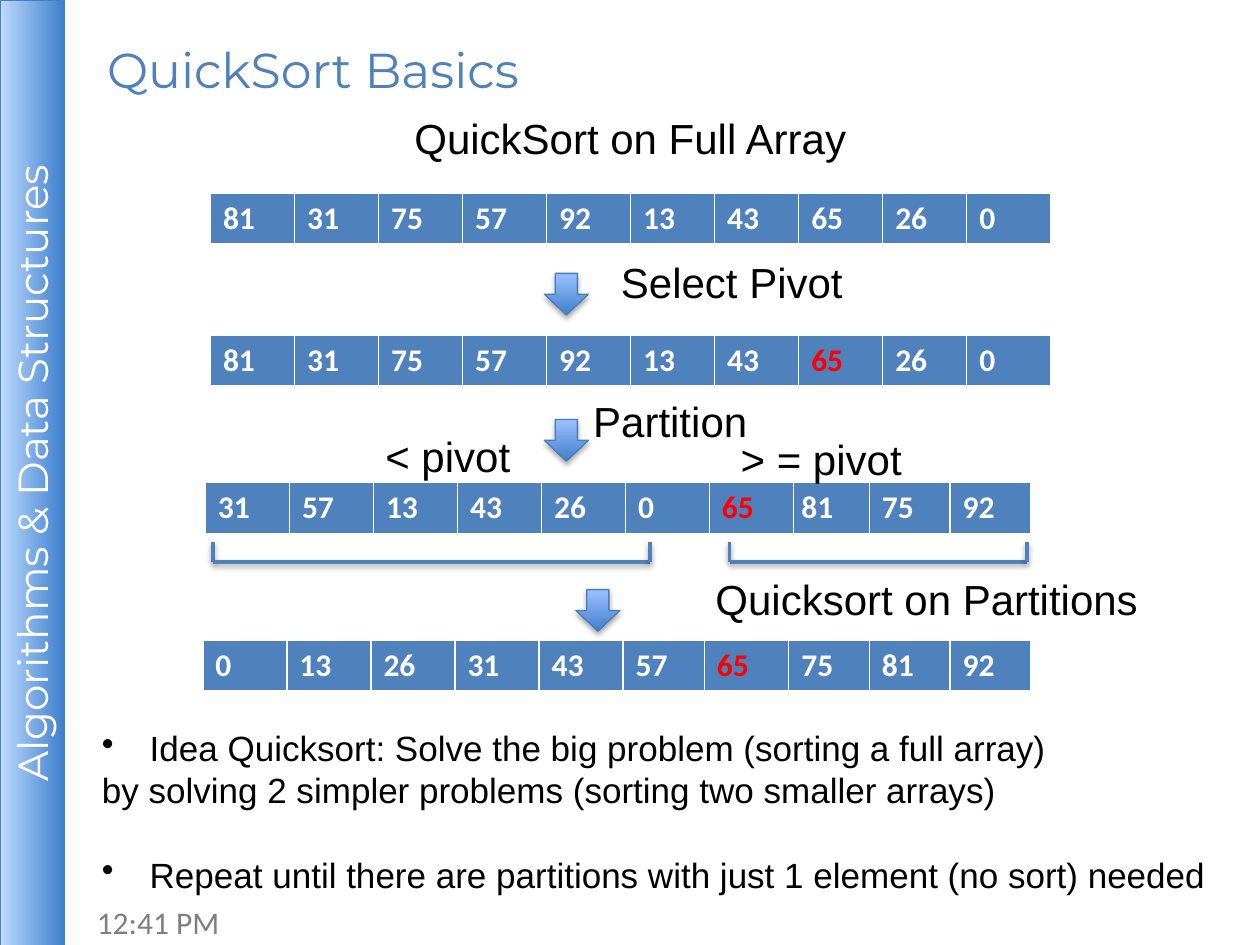
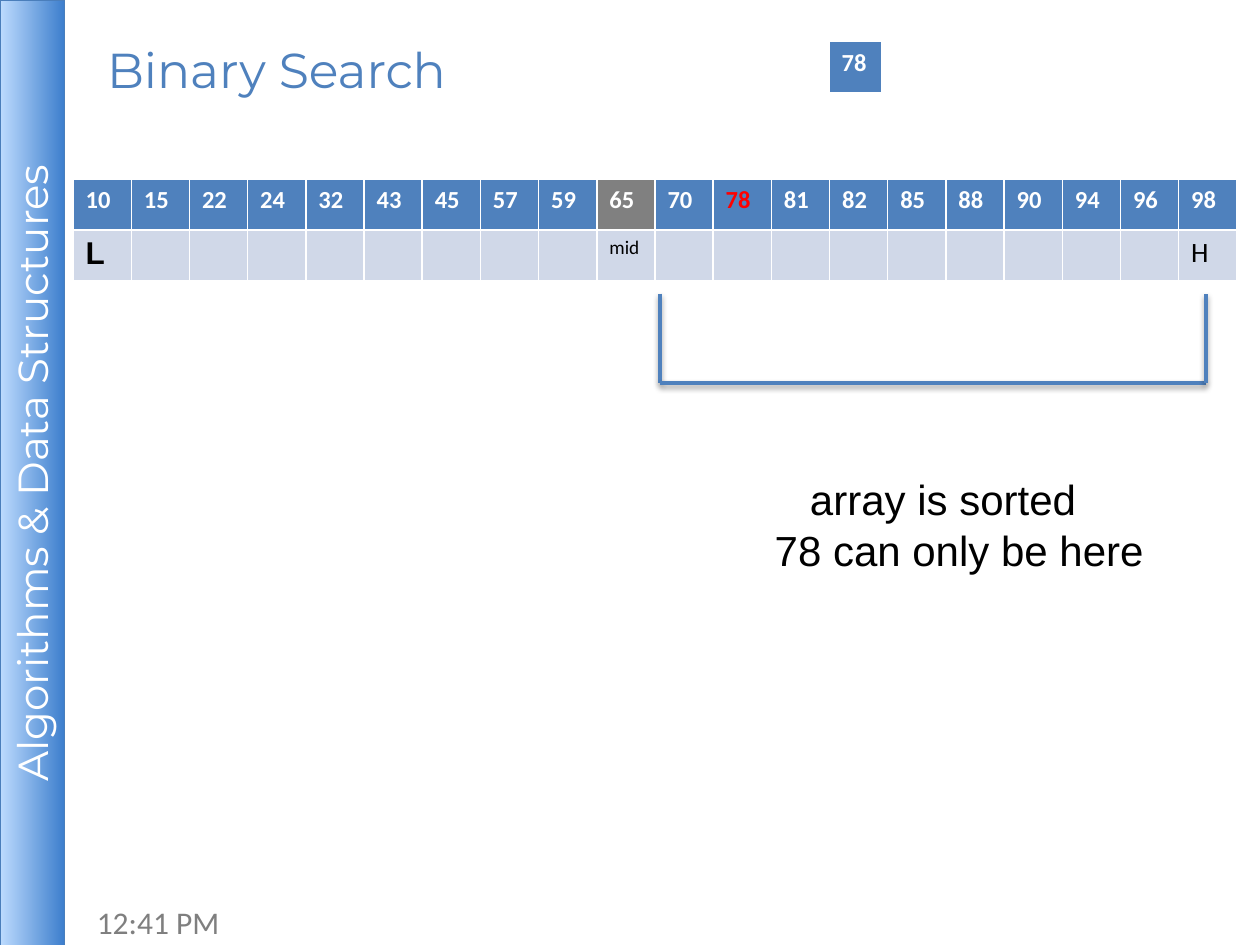
"""Build two slides on sorting and searching arrays."""
import pptx
import pptx.dml.color
import pptx.enum.shapes
import pptx.enum.text
import pptx.util

BLUE, EDGE, RED, GRAY, PALE = "4F81BD", "4A7EBB", "FF0000", "808080", "D0D8E8"
WHITE, BLACK = "FFFFFF", "000000"
KINDS = pptx.enum.shapes.MSO_SHAPE
MID = pptx.enum.text.MSO_ANCHOR.MIDDLE


def tint(code):
    return pptx.dml.color.RGBColor.from_string(code)


def style(frame, font, size, code, bold=False):
    for para in frame.paragraphs:
        for run in para.runs:
            run.font.name, run.font.size = font, pptx.util.Pt(size)
            run.font.color.rgb, run.font.bold = tint(code), bold


deck = pptx.Presentation()
deck.slide_width, deck.slide_height = pptx.util.Inches(10), pptx.util.Inches(7.5)
col, row = deck.slide_width / 100, deck.slide_height / 75

mixed = [81, 31, 75, 57, 92, 13, 43, 65, 26, 0]
found = [10, 15, 22, 24, 32, 43, 45, 57, 59, 65,
         70, 78, 81, 82, 85, 88, 90, 94, 96, 98]
marks = {0: ("L", "Arial", 18, True), 9: ("mid", "Calibri", 11, False),
         19: ("H", "Calibri", 16, False)}
pages = [
    {
        "title": "QuickSort Basics", "wide": 75, "size": 18,
        "arrays": [
            (16.7, 15.3, 6.67, mixed, None),
            (16.7, 26.6, 6.67, mixed, 65),
            (16.3, 38.3, 6.67, [31, 57, 13, 43, 26, 0], None),
            (62.6, 38.3, 6.4, [81, 75, 92], None),
            (16.1, 50.8, 6.67, [0, 13, 26, 31, 43, 57], None),
            (62.6, 50.8, 6.4, [75, 81, 92], None),
            (56.3, 38.3, 6.67, [65], 65),
            (55.9, 50.8, 6.67, [65], 65),
        ],
        "arrows": [(43.2, 21.7), (43.2, 33.3), (45.7, 46.8)],
        "braces": [(16.9, 51.6, 43.0, 44.6), (57.9, 81.5, 43.0, 44.6)],
        "labels": [
            (31.9, 8.4, 39.2, "QuickSort on Full Array"),
            (48.3, 19.9, 26.7, "Select Pivot"),
            (46.1, 30.9, 26.7, "Partition"),
            (29.6, 33.7, 12.5, "< pivot"),
            (57.8, 33.9, 15.5, "> = pivot"),
            (55.8, 45, 37, "Quicksort on Partitions"),
        ],
        "ideas": ["Idea Quicksort: Solve the big problem (sorting a full array)",
                  "by solving 2 simpler problems (sorting two smaller arrays)",
                  "Repeat until there are partitions with just 1 element (no sort) needed"],
    },
    {
        "title": "Binary Search", "wide": 55.8, "size": 14,
        "arrays": [(5.8, 14.2, 4.62, found, 78), (65.8, 3.3, 4.2, [78], None)],
        "arrows": [],
        "braces": [(52.4, 95.7, 23.3, 30.4)],
        "labels": [(60.5, 37.1, 35.9, "array is sorted\n78 can only be here")],
        "ideas": [],
    },
]

for page in pages:
    slide = deck.slides.add_slide(deck.slide_layouts[5])
    shapes = slide.shapes

    clock = shapes.add_textbox(int(6.7 * col), int(71.2 * row), int(23.3 * col), int(4 * row))
    clock.text_frame.text = "12:41 PM"
    style(clock.text_frame, "Calibri", 18, "7F7F7F")

    band = shapes.add_shape(KINDS.RECTANGLE, int(-35 * col), int(35 * row),
                            int(75.1 * col), int(5.1 * row))
    band.rotation = 270
    band.shadow.inherit = False
    band.fill.gradient()
    band.fill.gradient_angle = 270
    for stop, code in zip(band.fill.gradient_stops, ["BDDBFE", "3E7FCD"]):
        stop.color.rgb = tint(code)
    band.line.color.rgb, band.line.width = tint(EDGE), pptx.util.Pt(0.75)
    frame = band.text_frame
    frame.text, frame.vertical_anchor = "Algorithms & Data Structures", MID
    frame.margin_left = frame.margin_right = int(0.4 * col)
    frame.margin_top = frame.margin_bottom = int(0.4 * row)
    frame.paragraphs[0].alignment = pptx.enum.text.PP_ALIGN.CENTER
    style(frame, "Montserrat", 24, WHITE)

    title = shapes.title
    title.left, title.top = int(7.5 * col), int(1.6 * row)
    title.width, title.height = int(page["wide"] * col), int(7.8 * row)
    title.text_frame.text = page["title"]
    title.text_frame.vertical_anchor = MID
    title.text_frame.paragraphs[0].alignment = pptx.enum.text.PP_ALIGN.LEFT
    style(title.text_frame, "Montserrat", 28, BLUE)

    for left, top, step, nums, hot in page["arrays"]:
        rows = 2 if nums is found else 1
        grid = shapes.add_table(rows, len(nums), int(left * col), int(top * row),
                                int(step * len(nums) * col), int(4.05 * rows * row)).table
        for spot, num in enumerate(nums):
            cell = grid.cell(0, spot)
            cell.text_frame.text = str(num)
            cell.fill.solid()
            cell.fill.fore_color.rgb = tint(GRAY if nums is found and spot == 9 else BLUE)
            style(cell.text_frame, "Calibri", page["size"], RED if num == hot else WHITE, True)
            if rows == 2:
                cell = grid.cell(1, spot)
                cell.fill.solid()
                cell.fill.fore_color.rgb = tint(PALE)
                if spot in marks:
                    mark, font, size, bold = marks[spot]
                    cell.text_frame.text = mark
                    style(cell.text_frame, font, size, BLACK, bold)

    for left, top in page["arrows"]:
        arrow = shapes.add_shape(KINDS.DOWN_ARROW, int(left * col), int(top * row),
                                 int(3.5 * col), int(3.3 * row))
        arrow.fill.gradient()
        arrow.fill.gradient_angle = 270
        for stop, code in zip(arrow.fill.gradient_stops, ["9BC1FF", "3F80CD"]):
            stop.color.rgb = tint(code)
        arrow.line.color.rgb, arrow.line.width = tint(EDGE), pptx.util.Pt(0.75)

    for left, right, top, base in page["braces"]:
        ends = [(left, top), (left, base), (right, base), (right, top)]
        for (ax, ay), (bx, by) in zip(ends, ends[1:]):
            line = shapes.add_connector(pptx.enum.shapes.MSO_CONNECTOR.STRAIGHT,
                                        int(ax * col), int(ay * row), int(bx * col), int(by * row))
            line.line.color.rgb, line.line.width = tint(BLUE), pptx.util.Pt(2)

    for left, top, wide, words in page["labels"]:
        box = shapes.add_textbox(int(left * col), int(top * row), int(wide * col), int(5 * row))
        frame = box.text_frame
        frame.word_wrap, frame.text = True, words
        style(frame, "Arial", 24, BLACK)
        if len(frame.paragraphs) > 1:
            box.height = int(9.1 * row)
            frame.paragraphs[0]._p.get_or_add_pPr().set("indent", str(int(2.8 * col)))

    if page["ideas"]:
        box = shapes.add_textbox(int(7.1 * col), int(57.2 * row), int(92.9 * col), int(18.5 * row))
        frame = box.text_frame
        frame.word_wrap, frame.text = True, "\n".join(page["ideas"])
        style(frame, "Arial", 20, BLACK)
        frame.paragraphs[2].space_before = pptx.util.Pt(24)
        for para in frame.paragraphs[::2]:
            props = para._p.get_or_add_pPr()
            props.set("marL", str(int(3.8 * col)))
            props.set("indent", str(int(-3.8 * col)))
            dot = props.makeelement(pptx.oxml.ns.qn("a:buChar"), {"char": "•"})
            props.append(dot)

deck.save("out.pptx")
